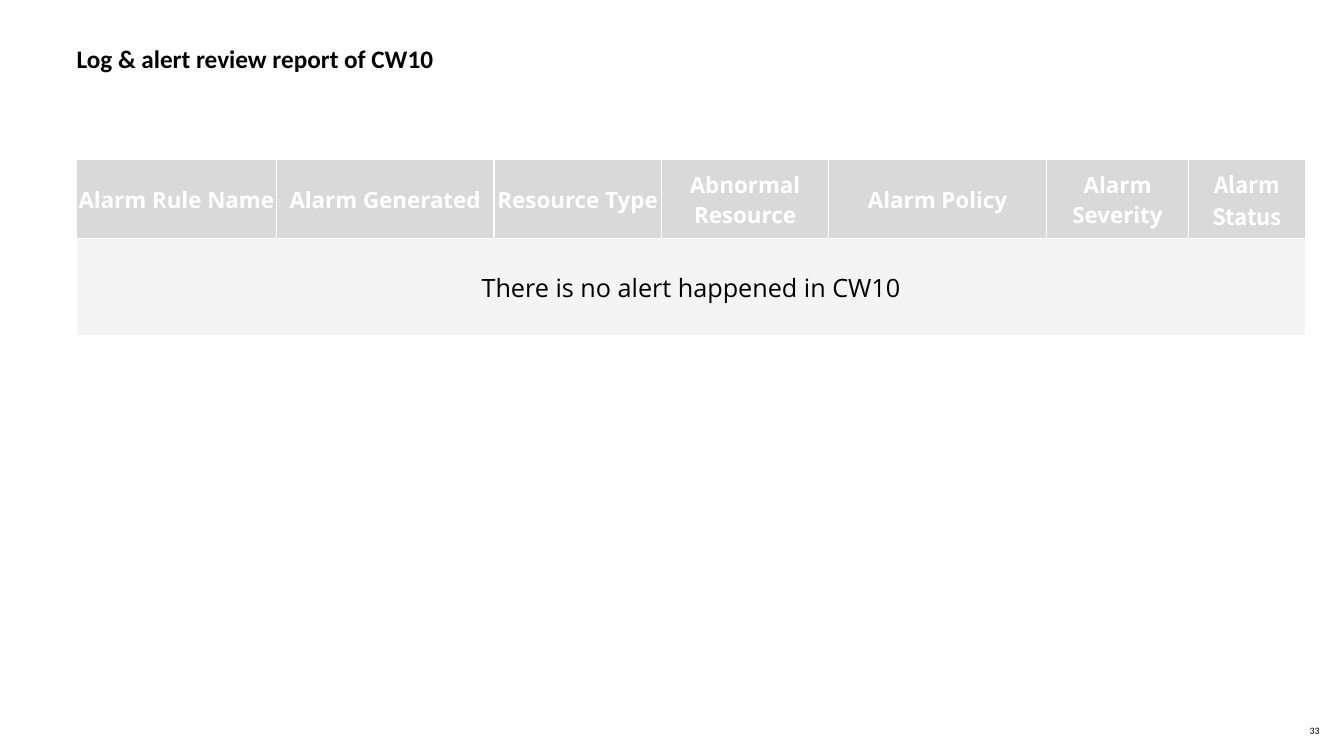
"""Build the weekly log and alert review slide."""
from lxml import etree
from pptx import Presentation
from pptx.dml.color import RGBColor
from pptx.enum.text import MSO_ANCHOR, PP_ALIGN
from pptx.oxml.ns import qn
from pptx.util import Inches, Pt

BLACK = RGBColor(0x00, 0x00, 0x00)
WHITE = RGBColor(0xFF, 0xFF, 0xFF)
HEADER_GREY = RGBColor(0xD9, 0xD9, 0xD9)
BODY_GREY = RGBColor(0xF4, 0xF4, 0xF4)
LEFT = Inches(0.76)
COLUMNS = [
    ("Alarm Rule Name", 1.98), ("Alarm Generated", 2.16), ("Resource Type", 1.66),
    ("Abnormal Resource", 1.66), ("Alarm Policy", 2.16), ("Alarm Severity", 1.41),
    ("Alarm Status", 1.16),
]
ROW_HEIGHTS = [0.79, 0.96]


def write(frame, text, size, font, color, bold=False, align=PP_ALIGN.LEFT):
    frame.word_wrap = True
    paragraph = frame.paragraphs[0]
    paragraph.alignment = align
    run = paragraph.add_run()
    run.text = text
    run.font.size, run.font.name, run.font.bold = Pt(size), font, bold
    run.font.color.rgb = color
    return paragraph


def style_cell(cell, fill):
    cell.vertical_anchor = MSO_ANCHOR.MIDDLE
    cell.margin_left = cell.margin_right = cell.margin_top = Inches(0.01)
    cell.margin_bottom = 0
    cell.fill.solid()
    cell.fill.fore_color.rgb = fill
    properties = cell._tc.get_or_add_tcPr()
    for position, side in enumerate(("a:lnL", "a:lnR", "a:lnT", "a:lnB")):
        line = etree.Element(qn(side), w=str(Pt(1)))
        color = etree.SubElement(etree.SubElement(line, qn("a:solidFill")), qn("a:srgbClr"))
        color.set("val", str(WHITE))
        properties.insert(position, line)


prs = Presentation()
prs.slide_width, prs.slide_height = Inches(13.33), Inches(7.5)
slide = prs.slides.add_slide(prs.slide_layouts[5])

title = slide.shapes.title
title.left, title.top, title.width, title.height = LEFT, Inches(0.4), Inches(12.4), Inches(0.67)
title_frame = title.text_frame
title_frame.vertical_anchor = MSO_ANCHOR.TOP
heading = write(title_frame, "Log & alert review report of CW10", 18, "Calibri", BLACK, bold=True)
heading.line_spacing = 1.1

page_number = slide.shapes.add_textbox(Inches(12.99), Inches(7.16), Inches(0.34), Inches(0.17))
number_frame = page_number.text_frame
number_frame.vertical_anchor = MSO_ANCHOR.MIDDLE
write(number_frame, "33", 7, "Calibri", BLACK)

for frame in (title_frame, number_frame):
    frame.margin_left = frame.margin_right = frame.margin_top = frame.margin_bottom = 0

table_width = Inches(sum(width for _, width in COLUMNS))
alarms = slide.shapes.add_table(
    len(ROW_HEIGHTS), len(COLUMNS), LEFT, Inches(1.58), table_width, Inches(sum(ROW_HEIGHTS))
).table
for row, height in zip(alarms.rows, ROW_HEIGHTS):
    row.height = Inches(height)

for index, (label, width) in enumerate(COLUMNS):
    alarms.columns[index].width = Inches(width)
    style_cell(alarms.cell(0, index), HEADER_GREY)
    style_cell(alarms.cell(1, index), BODY_GREY)
    font = "Noto Sans CJK SC" if label == "Alarm Status" else "Open Sans"
    write(alarms.cell(0, index).text_frame, label, 16, font, WHITE, True, PP_ALIGN.CENTER)

message = alarms.cell(1, 0)
message.merge(alarms.cell(1, len(COLUMNS) - 1))
write(message.text_frame, "There is no alert happened in CW10", 18, "Open Sans", BLACK,
      align=PP_ALIGN.CENTER)

prs.save("out.pptx")
